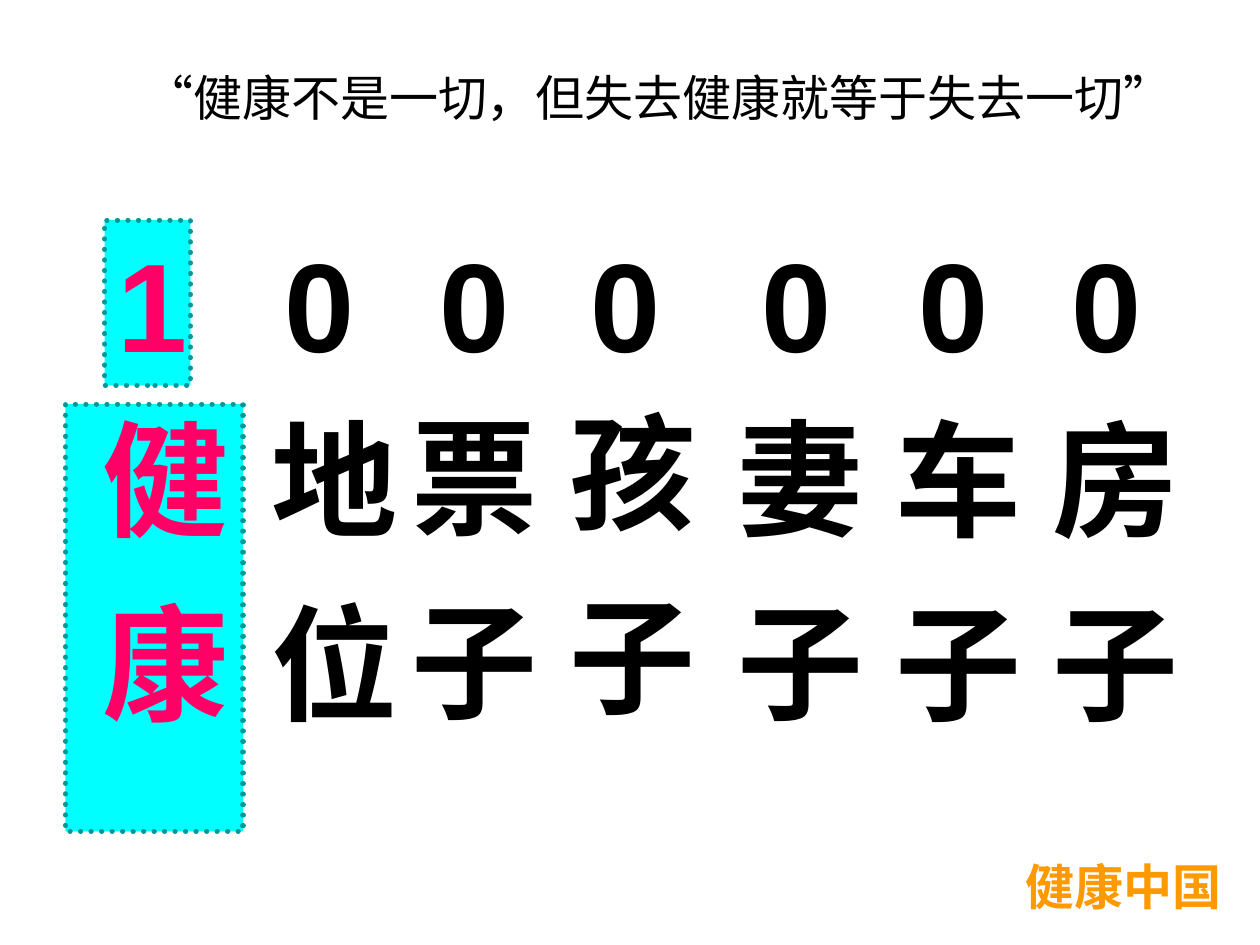
from typing import NamedTuple

from pptx import Presentation
from pptx import util as u
from pptx.dml.color import RGBColor
from pptx.enum import dml, shapes, text
from pptx.oxml.ns import qn

FONT = "Arial"
BLACK, PINK, CYAN, TEAL, ORANGE = "000000", "FF0066", "00FFFF", "009999", "FF9900"
DIGIT_TOP, DIGIT_HEIGHT = 4.44, 3.33
WORD_WIDTH = 3.58
BIG, SMALL = 72, 28
CHARACTER_GAP = 17  # points added to the space between two stacked characters


class Box(NamedTuple):
    """Left, top, width and height in centimetres."""
    left: float
    top: float
    width: float
    height: float


class Column(NamedTuple):
    digit: str
    digit_left: float
    digit_width: float
    characters: str
    word_left: float
    word_top: float
    word_height: float
    highlighted: bool = False


COLUMNS = [
    Column("0", 5.49, 4.01, "地位", 4.72, 8.15, 7.98),
    Column("0", 8.61, 2.11, "票子", 7.54, 8.1, 8.26),
    Column("0", 11.66, 4.65, "孩子", 10.72, 8.0, 9.73),
    Column("0", 15.11, 2.54, "妻子", 14.12, 8.13, 7.82),
    Column("0", 18.26, 4.65, "车子", 17.3, 8.15, 8.89),
    Column("0", 21.36, 2.74, "房子", 20.47, 8.15, 8.05),
    Column("1", 2.11, 1.73, "健康", 1.32, 8.15, 8.61, True),
]


def color(value: str) -> RGBColor:
    return RGBColor.from_string(value)


def add_box(slide, box: Box, highlighted: bool = False, wrap: bool = True):
    """Add a plain text box, or a cyan rectangle with a dotted outline."""
    lengths = [u.Cm(length) for length in box]
    if highlighted:
        shape = slide.shapes.add_shape(shapes.MSO_SHAPE.RECTANGLE, *lengths)
        shape.shadow.inherit = False
        shape.fill.solid()
        shape.fill.fore_color.rgb = color(CYAN)
        shape.line.color.rgb = color(TEAL)
        shape.line.width = u.Pt(3)
        shape.line.dash_style = dml.MSO_LINE.ROUND_DOT
        shape.element.spPr.find(qn("a:ln")).set("cap", "rnd")
    else:
        shape = slide.shapes.add_textbox(*lengths)
    frame = shape.text_frame
    frame.word_wrap = wrap
    frame.auto_size = text.MSO_AUTO_SIZE.SHAPE_TO_FIT_TEXT
    frame.vertical_anchor = text.MSO_ANCHOR.TOP
    frame.paragraphs[0].alignment = text.PP_ALIGN.LEFT
    return shape


def add_run(paragraph, words: str, size: float, fill: str, bold: bool = True):
    run = paragraph.add_run()
    run.text = words
    run.font.name = FONT
    run.font.size = u.Pt(size)
    run.font.bold = bold
    run.font.color.rgb = color(fill)
    return run


def add_column(slide, column: Column) -> None:
    """Add a digit with its vertical word below."""
    fill = PINK if column.highlighted else BLACK
    digit = add_box(slide, Box(column.digit_left, DIGIT_TOP, column.digit_width, DIGIT_HEIGHT),
                    column.highlighted)
    add_run(digit.text_frame.paragraphs[0], column.digit, BIG, fill)

    word = add_box(slide, Box(column.word_left, column.word_top, WORD_WIDTH, column.word_height),
                   column.highlighted)
    word.text_frame._txBody.bodyPr.set("vert", "eaVert")
    paragraph = word.text_frame.paragraphs[0]
    upper, lower = column.characters
    add_run(paragraph, upper, BIG, fill)
    space = add_run(paragraph, " ", BIG, fill)
    space.font._element.set("spc", str(CHARACTER_GAP * 100))
    add_run(paragraph, lower, BIG, fill)


def add_line(slide, box: Box, words: str, fill: str, bold: bool, wrap: bool):
    """Add a centred line of small text and return its paragraph."""
    paragraph = add_box(slide, box, wrap=wrap).text_frame.paragraphs[0]
    paragraph.alignment = text.PP_ALIGN.CENTER
    add_run(paragraph, words, SMALL, fill, bold)
    return paragraph


def main() -> None:
    presentation = Presentation()
    presentation.slide_width, presentation.slide_height = u.Cm(25.4), u.Cm(19.05)
    slide = presentation.slides.add_slide(presentation.slide_layouts[6])

    for column in COLUMNS:
        add_column(slide, column)

    quote = add_line(slide, Box(2.54, 1.47, 21.46, 1.22),
                     "“健康不是一切，但失去健康就等于失去一切”", BLACK, bold=False, wrap=False)
    quote.line_spacing = 0.8
    add_line(slide, Box(19.89, 17.15, 5.51, 1.45), "健康中国", ORANGE, bold=True, wrap=True)

    presentation.save("out.pptx")


if __name__ == "__main__":
    main()
